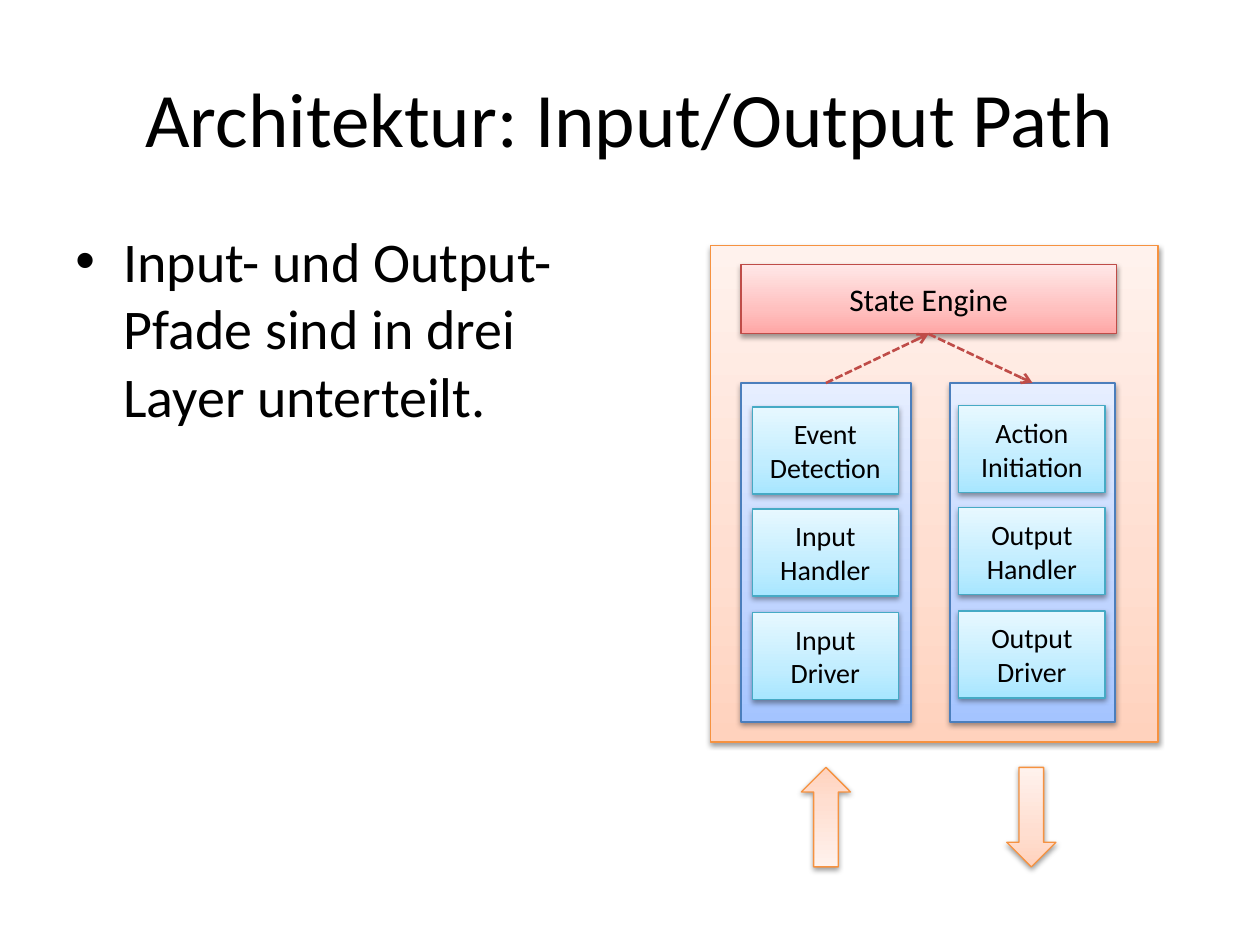
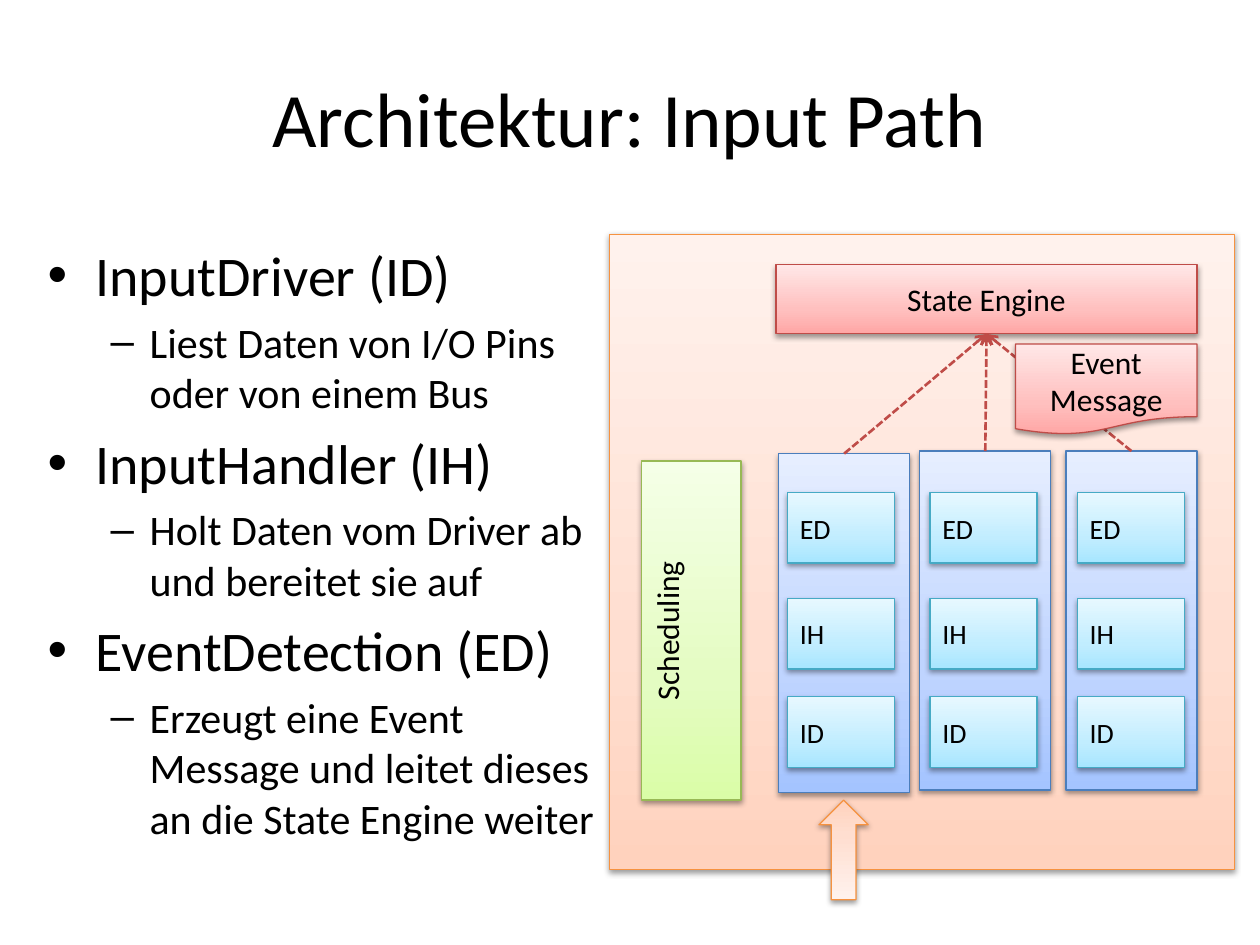
from pptx import Presentation
from pptx.dml.color import RGBColor
from pptx.enum.dml import MSO_LINE
from pptx.enum.shapes import MSO_CONNECTOR, MSO_SHAPE as SHAPE
from pptx.enum.text import MSO_ANCHOR as ANCHOR, PP_ALIGN as ALIGN
from pptx.oxml import parse_xml
from pptx.oxml.ns import nsdecls, qn
from pptx.util import Pt
from lxml.etree import SubElement

PX = 9144  # 100 px to the inch
FONT, BLACK = "Calibri", "000000"
BOTTOM, TOP = 2, 0

# Palettes: line, then gradient from bottom to top
ORANGE = ("F69240", "FFD2BD", "FFDED0", "FFF2ED")
BLUE = ("4B7EBC", "A4C4FF", "BFD4FF", "E6EEFF")
RED = ("BF4C48", "FFA6A5", "FFC0BF", "FFE7E7")
CYAN = ("46AAC5", "A7E6FF", "C1EDFF", "E7F8FF")
GREEN = ("98B955", "DAFDA7", "E4FCC2", "F5FFE7")

# Bullet levels: size, left margin, hanging indent, character
LEVELS = [(32, 38, 38, "•"), (24, 81, 31, "–")]


def write(paragraph, text, size=16, align=ALIGN.CENTER, bullet=None, before=0):
    if bullet:
        margin, hanging, char = bullet
        properties = paragraph._p.get_or_add_pPr()
        properties.set("marL", str(margin * PX))
        properties.set("indent", str(-hanging * PX))
        SubElement(properties, qn("a:buFont")).set("typeface", "Arial")
        SubElement(properties, qn("a:buChar")).set("char", char)
    paragraph.alignment = align
    if before:
        paragraph.space_before = Pt(before)
    run = paragraph.add_run()
    run.text = text
    run.font.name, run.font.size = FONT, Pt(size)
    run.font.color.rgb = RGBColor.from_string(BLACK)


def block(slide, place, palette, text="", kind=SHAPE.RECTANGLE, anchor=ANCHOR.MIDDLE, **style):
    shape = slide.shapes.add_shape(kind, *[n * PX for n in place])
    outline, *shades = palette
    stops = "".join(f'<a:gs pos="{pos}"><a:srgbClr val="{shade}"/></a:gs>'
                    for pos, shade in zip((0, 35000, 100000), shades))
    properties = shape._element.spPr
    properties.append(parse_xml(
        f'<a:gradFill {nsdecls("a")} rotWithShape="1"><a:gsLst>{stops}</a:gsLst>'
        '<a:lin ang="16200000" scaled="1"/></a:gradFill>'))
    shape.line.color.rgb = RGBColor.from_string(outline)
    shape.line.width = Pt(0.75)
    shape.shadow.inherit = False
    properties.find(qn("a:effectLst")).append(parse_xml(
        f'<a:outerShdw {nsdecls("a")} blurRad="40000" dist="20000" dir="5400000" '
        'rotWithShape="0"><a:srgbClr val="000000"><a:alpha val="38000"/></a:srgbClr>'
        '</a:outerShdw>'))
    frame = shape.text_frame
    frame.word_wrap, frame.vertical_anchor = True, anchor
    for i, line in enumerate(text.split("\n") if text else []):
        write(frame.add_paragraph() if i else frame.paragraphs[0], line, **style)
    return shape


# Column: left, top, width, then left and top of its layers, labels, leads to engine
short_labels = ["ED", "IH", "ID"]
path_slides = [
    dict(title="Architektur: Input/Output Path",
         body_at=(50, 175),
         bullets=[(0, "Input- und Output-Pfade sind in drei Layer unterteilt.")],
         system=(564, 195, 355, 394), engine=(588, 210, 298, 55),
         columns=[(588, 304, 135, 597, 323,
                   ["Event\nDetection", "Input\nHandler", "Input\nDriver"], True),
                  (754, 304, 131, 761, 322,
                   ["Action\nInitiation", "Output\nHandler", "Output\nDriver"], False)],
         layer_size=(116, 69), layer_steps=(0, 81, 163), layer_align=ALIGN.CENTER,
         flows=[(636, 609, 180), (799, 609, 0)]),
    dict(title="Architektur: Input Path",
         body_at=(28, 186),
         bullets=[(0, "InputDriver (ID)"),
                  (1, "Liest Daten von I/O Pins oder von einem Bus"),
                  (0, "InputHandler (IH)"),
                  (1, "Holt Daten vom Driver ab und bereitet sie auf"),
                  (0, "EventDetection (ED)"),
                  (1, "Erzeugt eine Event Message und leitet dieses an die State Engine weiter")],
         system=(484, 186, 496, 504), engine=(616, 210, 334, 55),
         columns=[(618, 360, 104, 625, 391, short_labels, True),
                  (730, 358, 104, 738, 391, short_labels, True),
                  (846, 358, 104, 855, 391, short_labels, True)],
         layer_size=(85, 56), layer_steps=(0, 84, 162), layer_align=ALIGN.LEFT,
         flows=[(650, 635, 180)]),
]

prs = Presentation()
prs.slide_width, prs.slide_height = 1000 * PX, 750 * PX

for content in path_slides:
    slide = prs.slides.add_slide(prs.slide_layouts[5])

    # Title
    title = slide.shapes.title
    title.left, title.top, title.width, title.height = [n * PX for n in (50, 30, 900, 125)]
    title.text_frame.vertical_anchor = ANCHOR.MIDDLE
    write(title.text_frame.paragraphs[0], content["title"], size=44)

    # Bulleted explanation
    place = (*content["body_at"], 456, 523)
    body = slide.shapes.add_textbox(*[n * PX for n in place]).text_frame
    body.word_wrap = True
    for i, (level, text) in enumerate(content["bullets"]):
        paragraph = body.add_paragraph() if i else body.paragraphs[0]
        paragraph.level = level
        size, *bullet = LEVELS[level]
        write(paragraph, text, size=size, align=ALIGN.LEFT, bullet=bullet,
              before=size * 0.2 if i else 0)

    # System with its state engine
    block(slide, content["system"], ORANGE)
    engine = block(slide, content["engine"], RED, "State Engine", size=18)

    # Columns of layers, each linked to the engine
    for left, top, width, layer_left, layer_top, labels, to_engine in content["columns"]:
        column = block(slide, (left, top, width, 269), BLUE)
        for step, label in zip(content["layer_steps"], labels):
            block(slide, (layer_left, layer_top + step, *content["layer_size"]), CYAN,
                  label, align=content["layer_align"])

        ends = [(column, TOP), (engine, BOTTOM)]
        start, end = ends if to_engine else reversed(ends)
        link = slide.shapes.add_connector(MSO_CONNECTOR.STRAIGHT, 0, 0, 0, 0)
        link.begin_connect(*start)
        link.end_connect(*end)
        link.line.color.rgb = RGBColor.from_string(RED[0])
        link.line.width = Pt(1.5)
        link.line.dash_style = MSO_LINE.SQUARE_DOT
        link_properties = link._element.spPr
        SubElement(link_properties.find(qn("a:ln")), qn("a:tailEnd")).set("type", "arrow")
        SubElement(link_properties, qn("a:effectLst"))

    # Data flow in and out of the system
    for left, top, rotation in content["flows"]:
        block(slide, (left, top, 39, 79), ORANGE, kind=SHAPE.DOWN_ARROW).rotation = rotation

# Scheduling and event message, on the input path only
scheduling = block(slide, (509, 366, 79, 269), GREEN, "Scheduling", anchor=ANCHOR.TOP, size=18)
scheduling.text_frame._txBody.bodyPr.set("vert", "vert270")
block(slide, (806, 273, 144, 72), RED, "Event\nMessage",
      kind=SHAPE.FLOWCHART_DOCUMENT, size=18)

prs.save("out.pptx")
